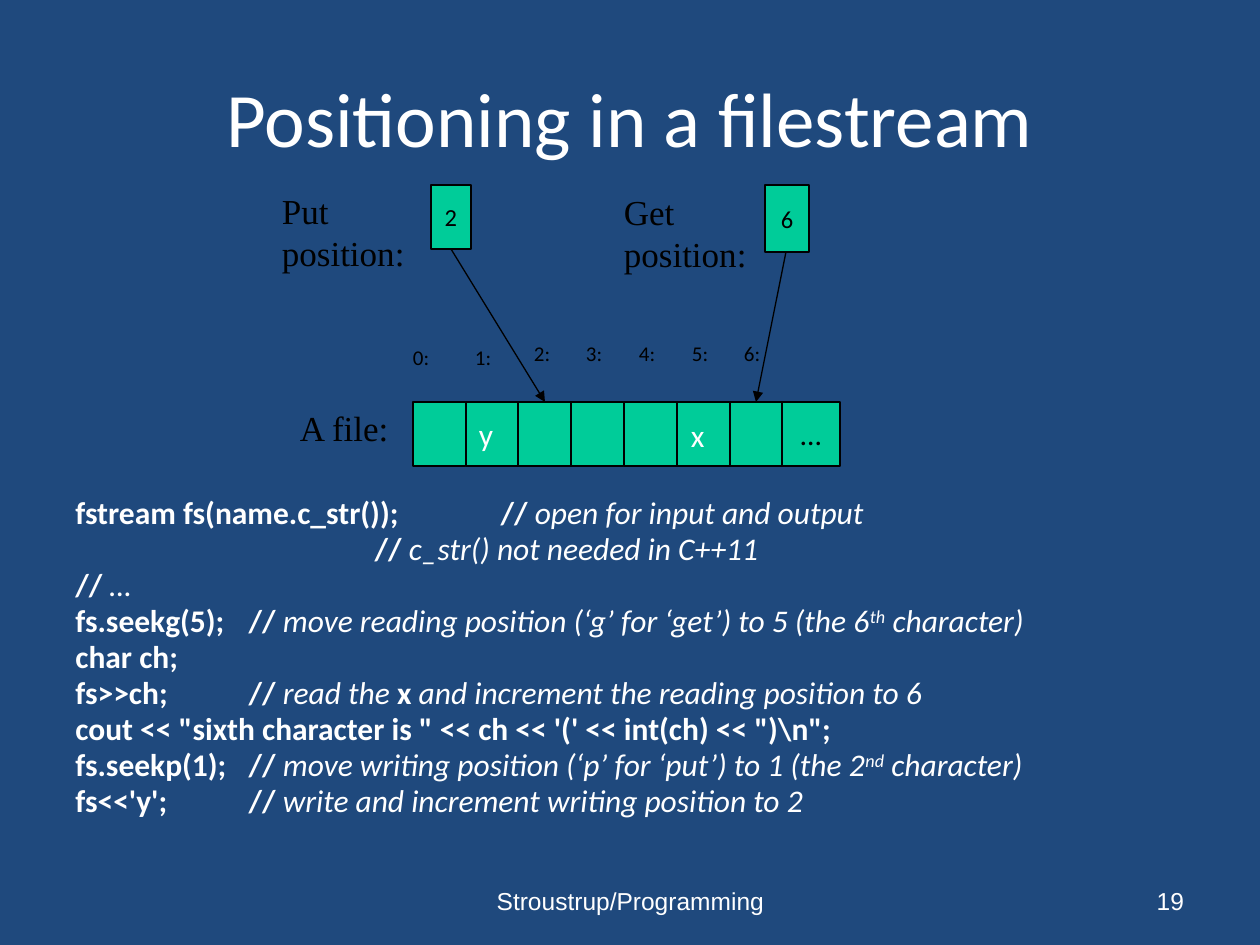
from lxml import etree
from pptx import Presentation
from pptx import util as u
from pptx.dml.color import RGBColor
from pptx.enum import shapes, text
from pptx.oxml import ns

PX = 914400 // 126
COLORS = {"back": "1F497D", "cell": "00CC99", "dark": "000000", "light": "FFFFFF"}
LEFT, CENTER, RIGHT = text.PP_ALIGN.LEFT, text.PP_ALIGN.CENTER, text.PP_ALIGN.RIGHT
TOP, MIDDLE = text.MSO_ANCHOR.TOP, text.MSO_ANCHOR.MIDDLE
SMALL_INSET, INSET = (9, 5), (13, 6)
ROW_TOP, ROW_HEIGHT = 402, 64

# Each line is a list of (wording, style): b bold, i italic, s italic superscript
CODE = [
    [("fstream fs(name.c_str());\t\t// ", "b"), ("open for input and output", "i")],
    [("\t\t\t\t\t// ", "b"), ("c_str() not needed in C++11", "i")],
    [("// ", "b"), ("…", "i")],
    [("fs.seekg(5);\t// ", "b"),
     ("move reading position (‘g’ for ‘get’) to 5 (the 6", "i"),
     ("th", "s"), (" character)", "i")],
    [("char ch;", "b")],
    [("fs>>ch;\t\t// ", "b"), ("read the ", "i"), ("x", "b"),
     (" and increment the reading position to 6", "i")],
    [("cout << \"sixth character is \" << ch << '(' << int(ch) << \")\\n\";", "b")],
    [("fs.seekp(1);\t// ", "b"),
     ("move writing position (‘p’ for ‘put’) to 1 (the 2", "i"),
     ("nd", "s"), (" character)", "i")],
    [("fs<<'y';\t\t// ", "b"), ("write and increment writing position to 2", "i")],
]


def rgb(name):
    """Look up a named colour."""
    return RGBColor.from_string(COLORS[name])


def px(*lengths):
    """Turn pixels into EMU."""
    return [u.Emu(length * PX) for length in lengths]


def style(span, size, color, font="Calibri"):
    """Set the font of one run."""
    span.font.name = font
    span.font.size = u.Pt(size)
    span.font.color.rgb = rgb(color)


def write(shape, words, size, color="dark", font="Calibri", align=LEFT,
          anchor=TOP, inset=SMALL_INSET):
    """Put one formatted paragraph into a shape."""
    frame = shape.text_frame
    frame.text = words
    frame.word_wrap = True
    frame.vertical_anchor = anchor
    frame.margin_left, frame.margin_top = px(*inset)
    frame.margin_right, frame.margin_bottom = px(*inset)
    para = frame.paragraphs[0]
    para.alignment = align
    for span in para.runs:
        style(span, size, color, font)


def add_label(page, at, words, size, **options):
    """Add a text box."""
    write(page.shapes.add_textbox(*px(*at)), words, size, **options)


def add_cell(page, at, words="", size=14, **options):
    """Add a green, outlined rectangle with optional text."""
    box = page.shapes.add_shape(shapes.MSO_SHAPE.RECTANGLE, *px(*at))
    box.shadow.inherit = False
    box.fill.solid()
    box.fill.fore_color.rgb = rgb("cell")
    box.line.color.rgb = rgb("dark")
    box.line.width = u.Pt(0.75)
    if words:
        write(box, words, size, anchor=MIDDLE, **options)


def add_arrow(page, *ends):
    """Add a thin line with an arrowhead at its end."""
    arrow = page.shapes.add_connector(shapes.MSO_CONNECTOR.STRAIGHT, *px(*ends))
    arrow.line.color.rgb = rgb("dark")
    arrow.line.width = u.Pt(0.75)
    etree.SubElement(arrow.line._get_or_add_ln(), ns.qn("a:tailEnd"), type="triangle")
    etree.SubElement(arrow._element.spPr, ns.qn("a:effectLst"))


def add_code(page, at, lines):
    """Add the program listing with its hanging indent."""
    frame = page.shapes.add_textbox(*px(*at)).text_frame
    frame.word_wrap = True
    for number, line in enumerate(lines):
        para = frame.add_paragraph() if number else frame.paragraphs[0]
        para.line_spacing = 0.8
        para.space_before = u.Pt(3.3)
        props = para._p.get_or_add_pPr()
        props.set("marL", str(u.Inches(0.375)))
        props.set("indent", str(u.Inches(-0.375)))
        for words, kind in line:
            span = para.add_run()
            span.text = words
            style(span, 18, "light")
            span.font.bold = kind == "b"
            span.font.italic = kind != "b"
            if kind == "s":
                span.font._element.set("baseline", "30000")


def add_file_row(page):
    """Add the row of file cells and the index above each."""
    edges = [round(413 + 52.75 * i) for i in range(8)] + [840]
    contents = {1: ("y", 18, {"color": "light", "inset": INSET}),
                7: ("…", 17, {"align": CENTER})}
    for i, left in enumerate(edges[:-1]):
        words, size, options = contents.get(i, ("", 14, {}))
        add_cell(page, (left, ROW_TOP, edges[i + 1] - left, ROW_HEIGHT),
                 words, size, **options)
    add_label(page, (678, 410, 40, 89), "x", 18, color="light", inset=INSET)
    for i, left in enumerate((404, 466, 525, 577, 630, 683, 735)):
        add_label(page, (left, 339 if i < 2 else 336, 53, 59), f"{i}:", 12)


def main():
    """Build the slide."""
    deck = Presentation()
    deck.slide_width, deck.slide_height = u.Inches(10), u.Inches(7.5)
    page = deck.slides.add_slide(deck.slide_layouts[5])
    page.background.fill.solid()
    page.background.fill.fore_color.rgb = rgb("back")

    title = page.shapes.title
    title.left, title.top, title.width, title.height = px(63, 38, 1134, 157)
    write(title, "Positioning in a filestream", 44, color="light",
          align=CENTER, anchor=MIDDLE, inset=INSET)

    add_code(page, (63, 494, 1166, 451), CODE)
    add_file_row(page)
    for at, words in (((291, ROW_TOP, 115, ROW_HEIGHT), "A file:"),
                      ((273, 184, 175, 59), "Put position:"),
                      ((615, 185, 166, 59), "Get position:")):
        add_label(page, at, words, 20, font="Times New Roman")
    add_cell(page, (431, 185, 40, 64), "2", align=CENTER)
    add_cell(page, (765, 185, 44, 67), "6", align=CENTER)
    add_arrow(page, 451, 249, 545, ROW_TOP)
    add_arrow(page, 786, 252, 756, ROW_TOP)
    for at, words, align in (((431, 876, 399, 50), "Stroustrup/Programming", CENTER),
                             ((903, 876, 294, 50), "19", RIGHT)):
        add_label(page, at, words, 14, color="light", font="Arial",
                  align=align, anchor=MIDDLE, inset=INSET)
    deck.save("out.pptx")


main()
